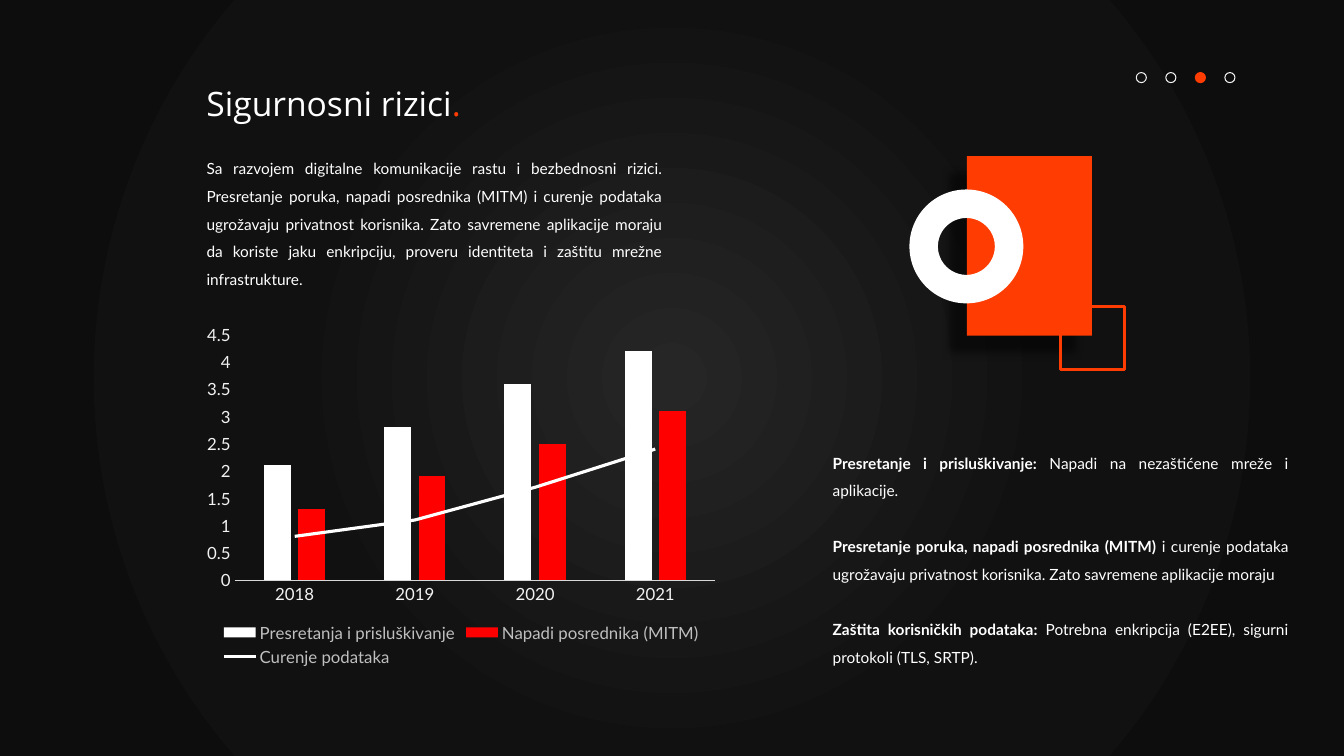
from pptx import Presentation
from pptx import util as u
from pptx.chart.data import CategoryChartData
from pptx.dml.color import RGBColor
from pptx.enum import chart as charts, shapes, text
from pptx.oxml import parse_xml
from pptx.oxml.ns import nsdecls, qn

Inches, Pt = u.Inches, u.Pt
WHITE = RGBColor(0xFF, 0xFF, 0xFF)
ORANGE = RGBColor(0xFF, 0x3C, 0x01)
RED = RGBColor(0xFF, 0x00, 0x00)
PALE = RGBColor(0xF2, 0xF2, 0xF2)
LEGEND_GREY = RGBColor(0xBF, 0xBF, 0xBF)
AXIS_GREY = RGBColor(0xD9, 0xD9, 0xD9)
BACKDROP = [(0, "262626"), (50, "111111"), (100, "0D0D0D")]

# Content
TITLE = [("Sigurnosni rizici", WHITE), (".", ORANGE)]
INTRO = [("", "Sa razvojem digitalne komunikacije rastu i bezbednosni rizici. "
          "Presretanje poruka, napadi posrednika (MITM) i curenje podataka "
          "ugrožavaju privatnost korisnika. Zato savremene aplikacije moraju "
          "da koriste jaku enkripciju, proveru identiteta i zaštitu mrežne "
          "infrastrukture.")]
RISKS = [
    ("Presretanje i prisluškivanje: ", "Napadi na nezaštićene mreže i aplikacije."),
    ("Presretanje poruka, napadi posrednika (MITM) ",
     "i curenje podataka ugrožavaju privatnost korisnika. "
     "Zato savremene aplikacije moraju"),
    ("Zaštita korisničkih podataka: ",
     "Potrebna enkripcija (E2EE), sigurni protokoli (TLS, SRTP)."),
]
YEARS = ["2018", "2019", "2020", "2021"]
SERIES = [
    ("Presretanja i prisluškivanje", (2.1, 2.8, 3.6, 4.2), WHITE),
    ("Napadi posrednika (MITM)", (1.3, 1.9, 2.5, 3.1), RED),
    ("Curenje podataka", (0.8, 1.1, 1.7, 2.4), WHITE),
]
DOT_COUNT, ACTIVE_DOT = 4, 2

deck = Presentation()
deck.slide_width, deck.slide_height = Inches(13.33), Inches(7.5)
page = deck.slides.add_slide(deck.slide_layouts[6])


def add_figure(kind, left, top, width, height, fill=None, line=None, weight=0.75):
    figure = page.shapes.add_shape(
        kind, Inches(left), Inches(top), Inches(width), Inches(height))
    figure.shadow.inherit = False
    if fill is None:
        figure.fill.background()
    else:
        figure.fill.solid()
        figure.fill.fore_color.rgb = fill
    if line is None:
        figure.line.fill.background()
    else:
        figure.line.color.rgb = line
        figure.line.width = Pt(weight)
    return figure


def add_span(para, words, size, font, color, bold=False):
    span = para.add_run()
    span.text = words
    span.font.size, span.font.name, span.font.bold = Pt(size), font, bold
    span.font.color.rgb = color


def add_box(left, top, width, height, wrap=True):
    box = page.shapes.add_textbox(
        Inches(left), Inches(top), Inches(width), Inches(height))
    box.text_frame.word_wrap = wrap
    return box.text_frame


def add_body(left, top, width, height, entries):
    frame = add_box(left, top, width, height)
    for index, (lead, rest) in enumerate(entries):
        para = frame.add_paragraph() if index else frame.paragraphs[0]
        para.alignment = text.PP_ALIGN.JUSTIFY
        para.line_spacing = 1.5
        if index:
            para.space_before = Pt(19.8)
        if lead:
            add_span(para, lead, 11, "Lato", WHITE, bold=True)
        add_span(para, rest, 11, "Lato", WHITE)


def style_font(font, size, name, color):
    font.size, font.name = Pt(size), name
    font.color.rgb = color


# Radial backdrop
Kind = shapes.MSO_SHAPE
backdrop = add_figure(Kind.RECTANGLE, 0, 0, 13.33, 7.5)
stops = "".join(f'<a:gs pos="{pos * 1000}"><a:srgbClr val="{color}"/></a:gs>'
                for pos, color in BACKDROP)
props = backdrop.element.spPr
props.replace(props.find(qn("a:noFill")), parse_xml(
    f'<a:gradFill {nsdecls("a")} rotWithShape="1"><a:gsLst>{stops}</a:gsLst>'
    '<a:path path="circle"><a:fillToRect l="50000" t="50000" r="50000" b="50000"/>'
    '</a:path></a:gradFill>'))

# Ornament: panel with shadow, ring, outlined square
panel = add_figure(Kind.RECTANGLE, 9.59, 1.55, 1.24, 1.78, fill=ORANGE)
panel.element.spPr.find(qn("a:effectLst")).append(parse_xml(
    f'<a:outerShdw {nsdecls("a")} blurRad="{Pt(6)}" dist="{Pt(17)}" '
    f'dir="{135 * 60000}" algn="tr" rotWithShape="0">'
    '<a:srgbClr val="000000"><a:alpha val="50000"/></a:srgbClr></a:outerShdw>'))
add_figure(Kind.DONUT, 9.02, 1.88, 1.13, 1.13, fill=WHITE)
add_figure(Kind.RECTANGLE, 10.52, 3.04, 0.63, 0.63, line=ORANGE, weight=2.25)

# Page dots
for index in range(DOT_COUNT):
    active = index == ACTIVE_DOT
    add_figure(Kind.OVAL, 11.27 + index * 0.293, 0.72, 0.1, 0.1,
               fill=ORANGE if active else None, line=ORANGE if active else PALE)

# Chart: two column series and one line series
data = CategoryChartData()
data.categories = YEARS
for name, values, _ in SERIES:
    data.add_series(name, values)
chart = page.shapes.add_chart(
    charts.XL_CHART_TYPE.COLUMN_CLUSTERED, Inches(1.95), Inches(3.15),
    Inches(5.25), Inches(3.5), data).chart
chart.has_title = False
style_font(chart.font, 10, "Calibri", RGBColor(0, 0, 0))
columns = chart.plots[0]
columns.gap_width, columns.overlap = 219, -27
columns.vary_by_categories = False

bars = chart.element.find(".//" + qn("c:barChart"))
axis_ids = "".join(f'<c:axId val="{axis.get("val")}"/>'
                   for axis in bars.findall(qn("c:axId")))
line_group = parse_xml(
    f'<c:lineChart {nsdecls("c")}><c:grouping val="standard"/>'
    f'<c:varyColors val="0"/><c:marker val="1"/>{axis_ids}</c:lineChart>')
leak = bars.findall(qn("c:ser"))[-1]
for flag in leak.findall(qn("c:invertIfNegative")):
    leak.remove(flag)
line_group.insert(2, leak)
bars.addnext(line_group)

for series, (_, _, color) in zip(columns.series, SERIES):
    series.format.fill.solid()
    series.format.fill.fore_color.rgb = color
trend = chart.plots[1].series[0]
trend.smooth = False
trend.marker.style = charts.XL_MARKER_STYLE.NONE
trend.format.line.color.rgb = SERIES[-1][2]
trend.format.line.width = Pt(2.25)

for axis in (chart.category_axis, chart.value_axis):
    axis.has_major_gridlines = False
    axis.major_tick_mark = axis.minor_tick_mark = charts.XL_TICK_MARK.NONE
    style_font(axis.tick_labels.font, 12, "Lato", PALE)
chart.category_axis.format.line.color.rgb = AXIS_GREY
chart.category_axis.format.line.width = Pt(0.75)
chart.value_axis.format.line.fill.background()
chart.has_legend = True
chart.legend.position = charts.XL_LEGEND_POSITION.BOTTOM
chart.legend.include_in_layout = False
style_font(chart.legend.font, 12, "Lato", LEGEND_GREY)

# Texts
heading = add_box(1.95, 0.77, 3.06, 0.5, wrap=False).paragraphs[0]
for words, color in TITLE:
    add_span(heading, words, 24, "Open Sans", color)
add_body(1.95, 1.44, 4.72, 1.46, INTRO)
add_body(8.16, 4.36, 4.72, 2.29, RISKS)

deck.save("out.pptx")
